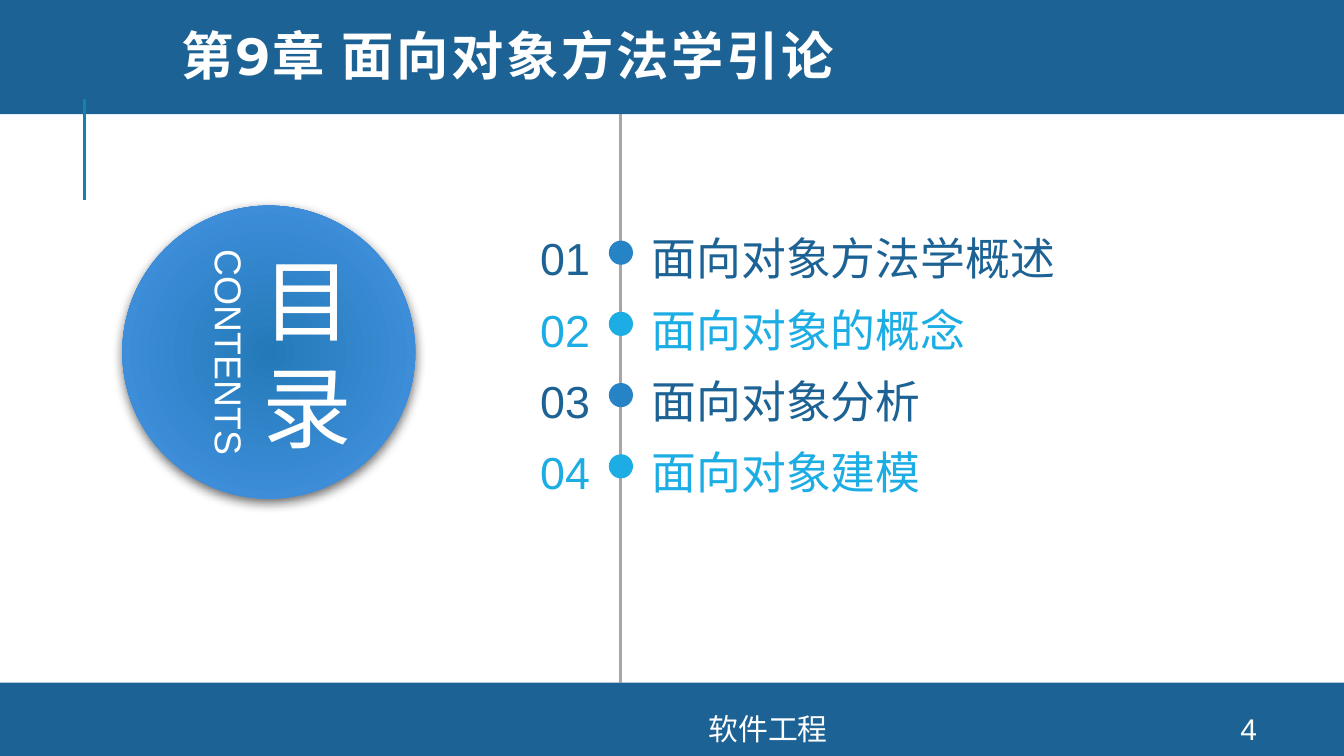
"""Build the contents slide of a chapter on object-oriented methodology."""
import pptx
import pptx.dml.color
import pptx.enum.shapes
import pptx.enum.text
import pptx.oxml
import pptx.oxml.ns
import pptx.util
from pptx.util import Inches

TITLE = "第9章 面向对象方法学引论"
BADGE = ["目", "录"]
BADGE_CAPTION = "CONTENTS"
TOPICS = ["面向对象方法学概述", "面向对象的概念", "面向对象分析", "面向对象建模"]
FOOTER = "软件工程"
PAGE_NUMBER = "4"

THEME = {
    "font": "Arial", "title_font": "Montserrat",
    "bar": "1D6294", "accent": "1482AC", "axis": "A6A6A6", "light": "FFFFFF",
    "badge": ("237AB8", "4895E7"),
    "topic_text": ("1D6294", "1CADE4"), "topic_dot": ("2683C6", "1CADE4"),
    "title_size": 28, "badge_size": 48, "caption_size": 20,
    "topic_size": 24, "footer_size": 16,
}
SLIDE_WIDTH = 10
SLIDE_HEIGHT = SLIDE_WIDTH * 9 / 16
AXIS_X, BAR_BOTTOM, FOOTER_TOP = 4.62, 0.85, 5.08
TOPIC_TOP, TOPIC_STEP, DOT_SIZE, DOT_OFFSET = 1.72, 0.53, 0.18, 0.07
NUMBER_LEFT, NUMBER_WIDTH, TOPIC_LEFT, TOPIC_WIDTH = 3.8, 0.59, 4.85, 3.37

ALIGN = pptx.enum.text.PP_ALIGN
MIDDLE = pptx.enum.text.MSO_ANCHOR.MIDDLE
TOP = pptx.enum.text.MSO_ANCHOR.TOP
SHAPES = pptx.enum.shapes.MSO_SHAPE


def color(value):
    return pptx.dml.color.RGBColor.from_string(value)


def add_element(parent, xml):
    namespace = pptx.oxml.ns.nsdecls("a")
    parent.append(pptx.oxml.parse_xml(xml.replace(" ", f" {namespace} ", 1)))


def add_filled(slide, kind, box, fill=None):
    shape = slide.shapes.add_shape(kind, *map(Inches, box))
    shape.shadow.inherit = False
    shape.line.fill.background()
    if fill:
        shape.fill.solid()
        shape.fill.fore_color.rgb = color(fill)
    return shape


def add_line(slide, x, start, end, line_color):
    straight = pptx.enum.shapes.MSO_CONNECTOR.STRAIGHT
    line = slide.shapes.add_connector(straight, Inches(x), Inches(start), Inches(x), Inches(end))
    line.line.color.rgb = color(line_color)
    line.line.width = pptx.util.Pt(1.5)
    add_element(line._element.spPr, "<a:effectLst />")


def write(shape, lines, size, text_color, align, anchor=TOP, font=THEME["font"],
          bold=False, spacing=0, flush=False):
    frame = shape.text_frame
    frame.word_wrap = True
    frame.vertical_anchor = anchor
    if flush:
        frame.margin_left = frame.margin_top = frame.margin_right = frame.margin_bottom = 0
    frame.text = "\n".join(lines)
    for paragraph in frame.paragraphs:
        paragraph.alignment = align
        paragraph.font.name = font
        paragraph.font.size = pptx.util.Pt(size)
        paragraph.font.bold = bold
        paragraph.font.color.rgb = color(text_color)
        if spacing:
            paragraph.font._element.set("spc", str(int(spacing * 100)))


def add_text(slide, box, lines, size, text_color, align, **options):
    shape = slide.shapes.add_textbox(*map(Inches, box))
    write(shape, lines, size, text_color, align, **options)
    return shape


def add_badge(slide):
    circle = add_filled(slide, SHAPES.OVAL, (0.91, 1.53, 2.18, 2.18))
    circle.fill.gradient()
    for stop, value in zip(circle.fill.gradient_stops, THEME["badge"]):
        stop.color.rgb = color(value)
    properties = circle._element.spPr
    gradient = properties.find(pptx.oxml.ns.qn("a:gradFill"))
    gradient.remove(gradient.find(pptx.oxml.ns.qn("a:lin")))
    add_element(gradient, '<a:path path="circle"><a:fillToRect l="100000" t="100000" '
                          'r="100000" b="100000"/></a:path>')
    add_element(properties.find(pptx.oxml.ns.qn("a:effectLst")),
                '<a:outerShdw blurRad="76200" dist="25400" dir="5400000" rotWithShape="0">'
                '<a:srgbClr val="000000"><a:alpha val="60000"/></a:srgbClr></a:outerShdw>')
    add_text(slide, (1.58, 1.61, 1.41, 2.02), BADGE, THEME["badge_size"], THEME["light"],
             ALIGN.CENTER, anchor=MIDDLE, spacing=6, flush=True)
    caption = add_text(slide, (0.65, 2.4, 2.11, 0.44), [BADGE_CAPTION],
                       THEME["caption_size"], THEME["light"], ALIGN.CENTER)
    caption.rotation = 90


def add_topics(slide):
    for index, topic in enumerate(TOPICS):
        top = TOPIC_TOP + index * TOPIC_STEP
        text_color = THEME["topic_text"][index % 2]
        dot = (AXIS_X - DOT_SIZE / 2, top + DOT_OFFSET, DOT_SIZE, DOT_SIZE)
        add_filled(slide, SHAPES.OVAL, dot, THEME["topic_dot"][index % 2])
        for left, width, text, align in (
            (NUMBER_LEFT, NUMBER_WIDTH, f"{index + 1:02}", ALIGN.RIGHT),
            (TOPIC_LEFT, TOPIC_WIDTH, topic, ALIGN.LEFT),
        ):
            add_text(slide, (left, top, width, 0.4), [text], THEME["topic_size"],
                     text_color, align, flush=True)


def add_title(slide):
    title = slide.shapes.title
    title.left, title.top, title.width, title.height = map(Inches, (1.25, 0.09, 8.26, 0.72))
    write(title, [TITLE], THEME["title_size"], THEME["light"], ALIGN.LEFT, anchor=MIDDLE,
          font=THEME["title_font"], bold=True, spacing=1.5)
    title.text_frame.auto_size = pptx.enum.text.MSO_AUTO_SIZE.NONE
    title.text_frame.paragraphs[0].line_spacing = 0.8
    slide.shapes._spTree.append(title._element)


def main():
    presentation = pptx.Presentation()
    presentation.slide_width = Inches(SLIDE_WIDTH)
    presentation.slide_height = Inches(SLIDE_HEIGHT)
    slide = presentation.slides.add_slide(presentation.slide_layouts.get_by_name("Title Only"))
    add_filled(slide, SHAPES.RECTANGLE, (0, -0.03, SLIDE_WIDTH, 0.88), THEME["bar"])
    add_filled(slide, SHAPES.RECTANGLE,
               (0, FOOTER_TOP, SLIDE_WIDTH, SLIDE_HEIGHT - FOOTER_TOP), THEME["bar"])
    add_line(slide, 0.63, 1.49, 0.74, THEME["accent"])
    add_line(slide, AXIS_X, BAR_BOTTOM, FOOTER_TOP, THEME["axis"])
    add_badge(slide)
    for left, width, text in ((2.61, 6.21, FOOTER), (8.89, 0.8, PAGE_NUMBER)):
        add_text(slide, (left, 5.31, width, 0.23), [text], THEME["footer_size"],
                 THEME["light"], ALIGN.CENTER, anchor=MIDDLE)
    add_topics(slide)
    add_title(slide)
    presentation.save("out.pptx")


if __name__ == "__main__":
    main()
